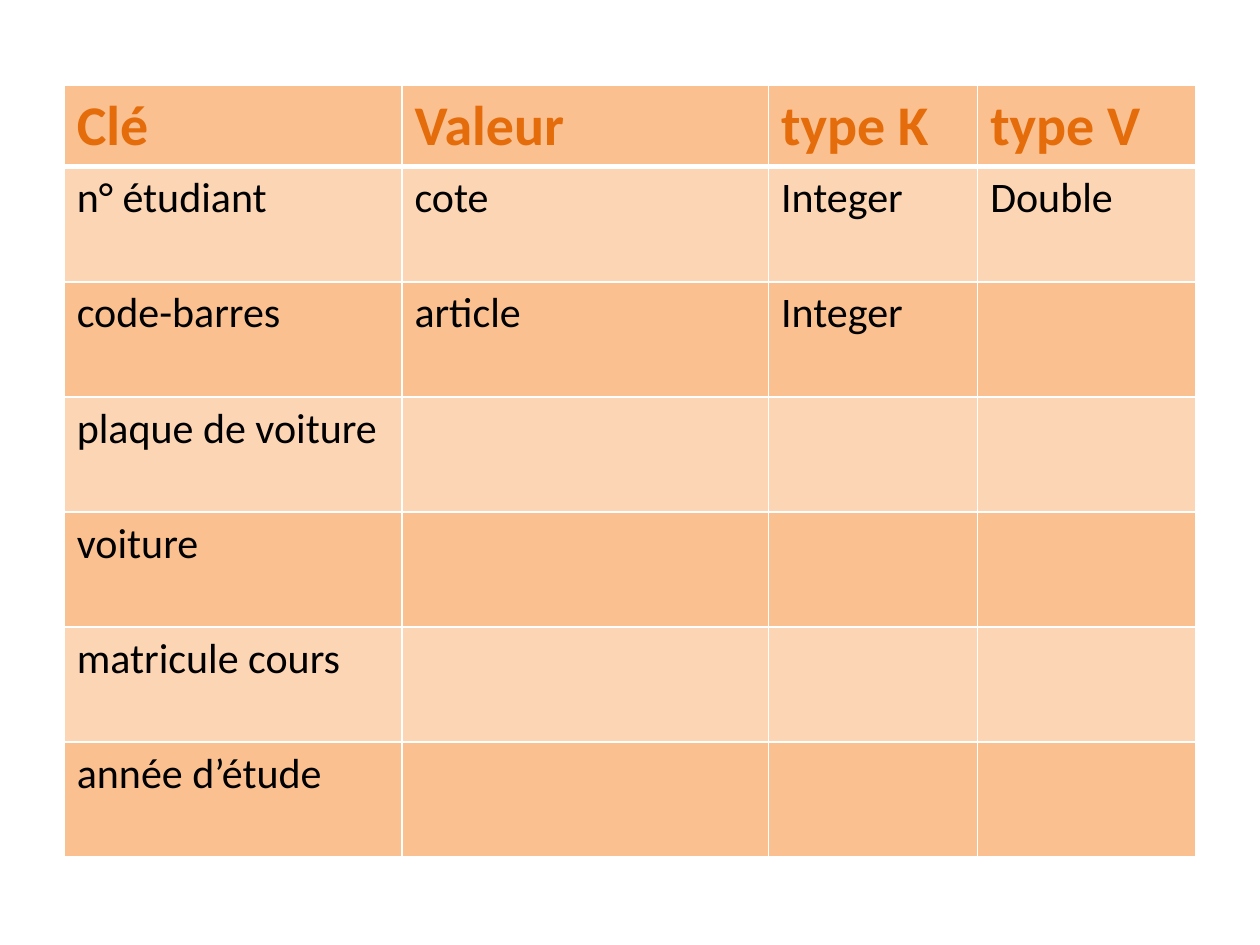
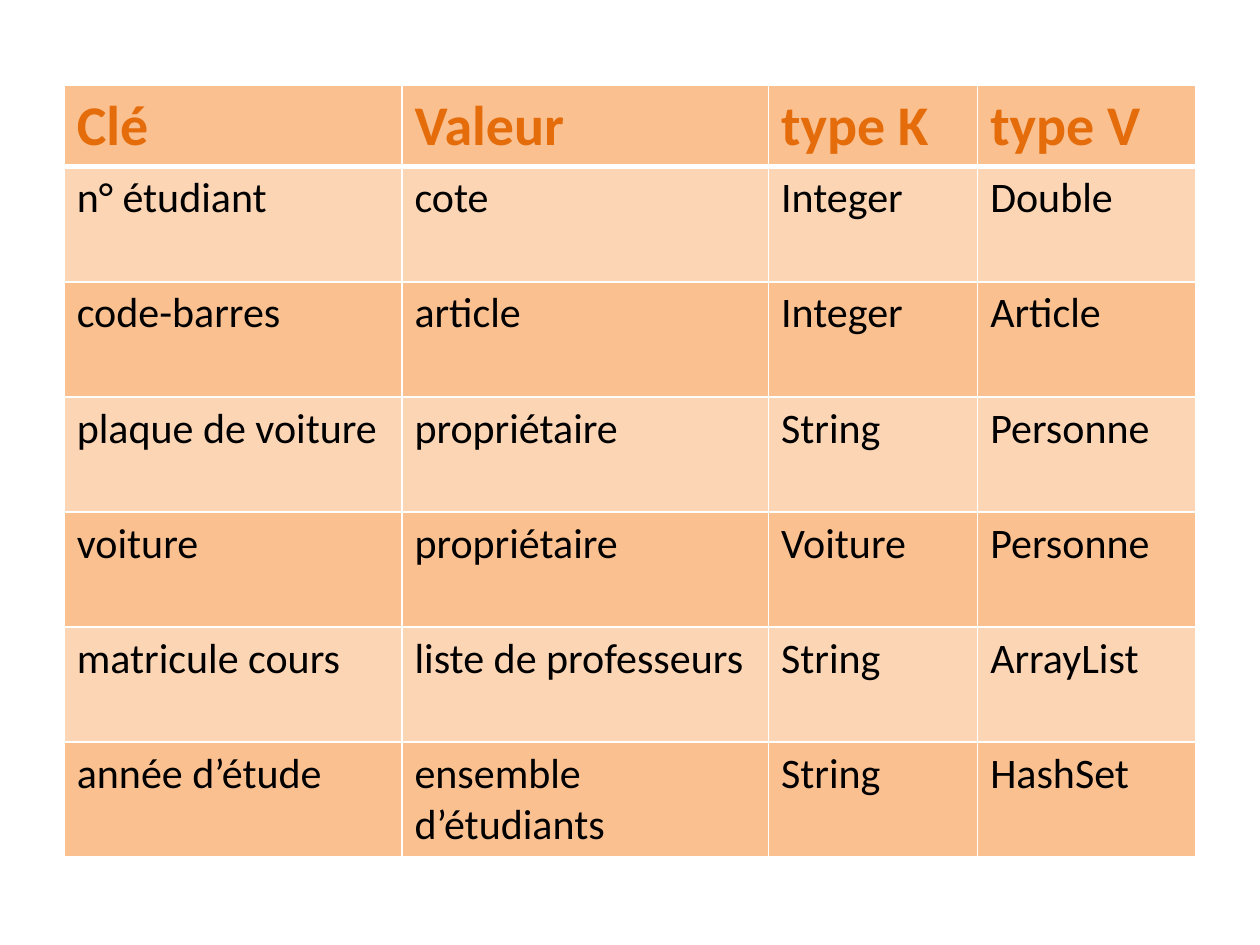
from lxml import etree
from pptx import Presentation
from pptx.dml.color import RGBColor
from pptx.oxml.ns import qn
from pptx.util import Inches, Pt

SLIDE_WIDTH, SLIDE_HEIGHT = 10, 7.5
TABLE_BOX = (0.51, 0.68, 8.98, 6.12)
COLUMN_WIDTHS = (2.68, 2.91, 1.66, 1.73)
HEADER_HEIGHT = 0.64

ORANGE, DARK_BAND, LIGHT_BAND = "E46C0A", "FAC090", "FCD5B5"
BLACK, WHITE = "000000", "FFFFFF"
THIN, THICK = 1, 3

HEADER_FONT = {"name": "Calibri", "size": Pt(32), "bold": True}
BODY_FONT = {"name": "Calibri", "size": Pt(24), "bold": False}

HEADINGS = ("Clé", "Valeur", "type K", "type V")
SOLUTION = (
    ("n° étudiant", "cote", "Integer", "Double"),
    ("code-barres", "article", "Integer", "Article"),
    ("plaque de voiture", "propriétaire", "String", "Personne"),
    ("voiture", "propriétaire", "Voiture", "Personne"),
    ("matricule cours", "liste de professeurs", "String", "ArrayList"),
    ("année d’étude", "ensemble d’étudiants", "String", "HashSet"),
)
GIVEN_COUNTS = (4, 3, 1, 1, 1, 1)  # cells already filled in on the exercise


def rgb(hex_colour):
    return RGBColor.from_string(hex_colour)


def set_borders(cell, top, bottom):
    properties = cell._tc.get_or_add_tcPr()
    widths = {"a:lnL": THIN, "a:lnR": THIN, "a:lnT": top, "a:lnB": bottom}
    for tag, width in widths.items():
        line = etree.SubElement(properties, qn(tag), w=str(Pt(width)))
        fill = etree.SubElement(line, qn("a:solidFill"))
        etree.SubElement(fill, qn("a:srgbClr"), val=WHITE)


def fill_cell(cell, text, row):
    is_header = row == 0
    set_borders(cell, top=THICK if row == 1 else THIN,
                bottom=THICK if is_header else THIN)
    cell.fill.solid()
    cell.fill.fore_color.rgb = rgb(LIGHT_BAND if row % 2 else DARK_BAND)
    if not text:
        return
    run = cell.text_frame.paragraphs[0].add_run()
    run.text = text
    for attribute, value in (HEADER_FONT if is_header else BODY_FONT).items():
        setattr(run.font, attribute, value)
    run.font.color.rgb = rgb(ORANGE if is_header else BLACK)


def add_map_table(slide, box, entries):
    """Add the key/value table, sharing the height below the header equally."""
    rows = (HEADINGS, *entries)
    frame = slide.shapes.add_table(len(rows), len(HEADINGS), *map(Inches, box))
    table = frame.table
    for column, width in zip(table.columns, COLUMN_WIDTHS):
        column.width = Inches(width)
    entry_height = (box[3] - HEADER_HEIGHT) / len(entries)
    for row, texts in enumerate(rows):
        table.rows[row].height = Inches(entry_height if row else HEADER_HEIGHT)
        for column, text in enumerate(texts):
            fill_cell(table.cell(row, column), text, row)


def exercise_entries():
    return [
        [text if column < given else "" for column, text in enumerate(texts)]
        for texts, given in zip(SOLUTION, GIVEN_COUNTS)
    ]


def main():
    deck = Presentation()
    deck.slide_width = Inches(SLIDE_WIDTH)
    deck.slide_height = Inches(SLIDE_HEIGHT)
    blank = deck.slide_layouts[6]
    for entries in (exercise_entries(), SOLUTION):
        add_map_table(deck.slides.add_slide(blank), TABLE_BOX, entries)
    deck.save("out.pptx")


if __name__ == "__main__":
    main()
